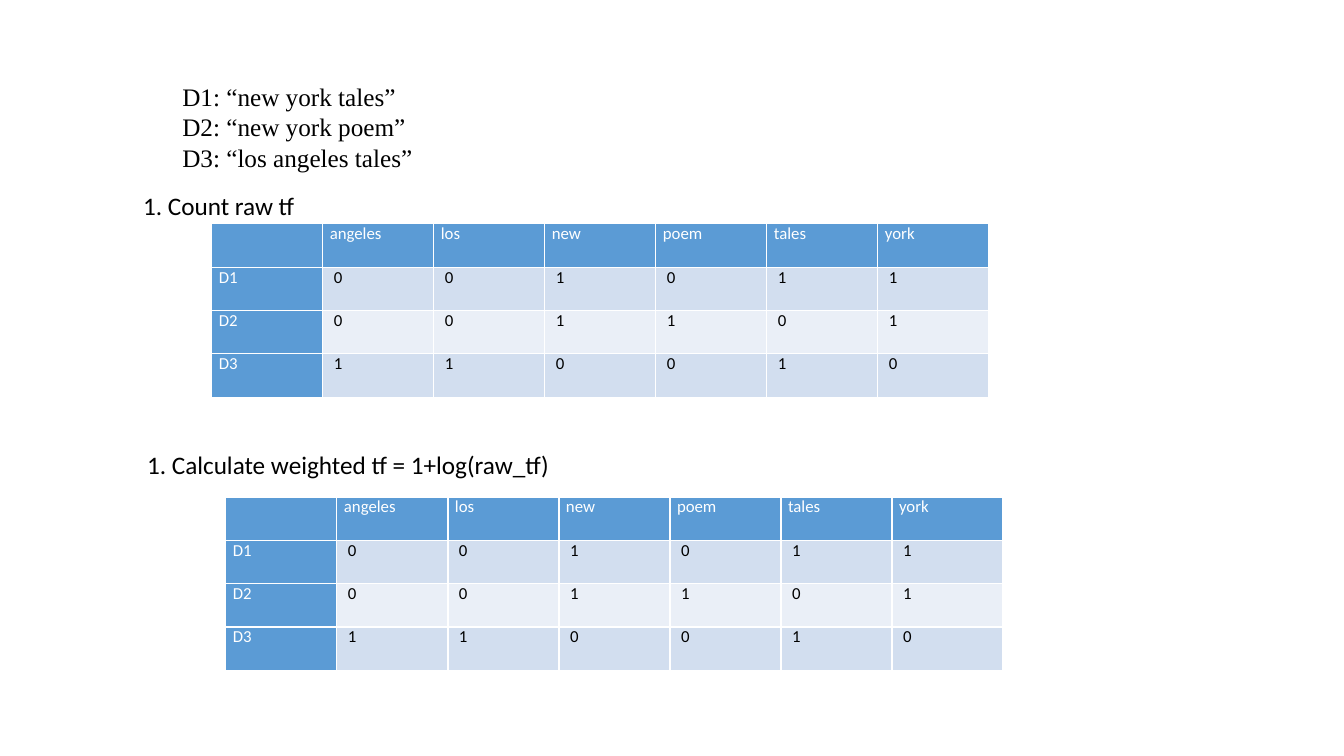
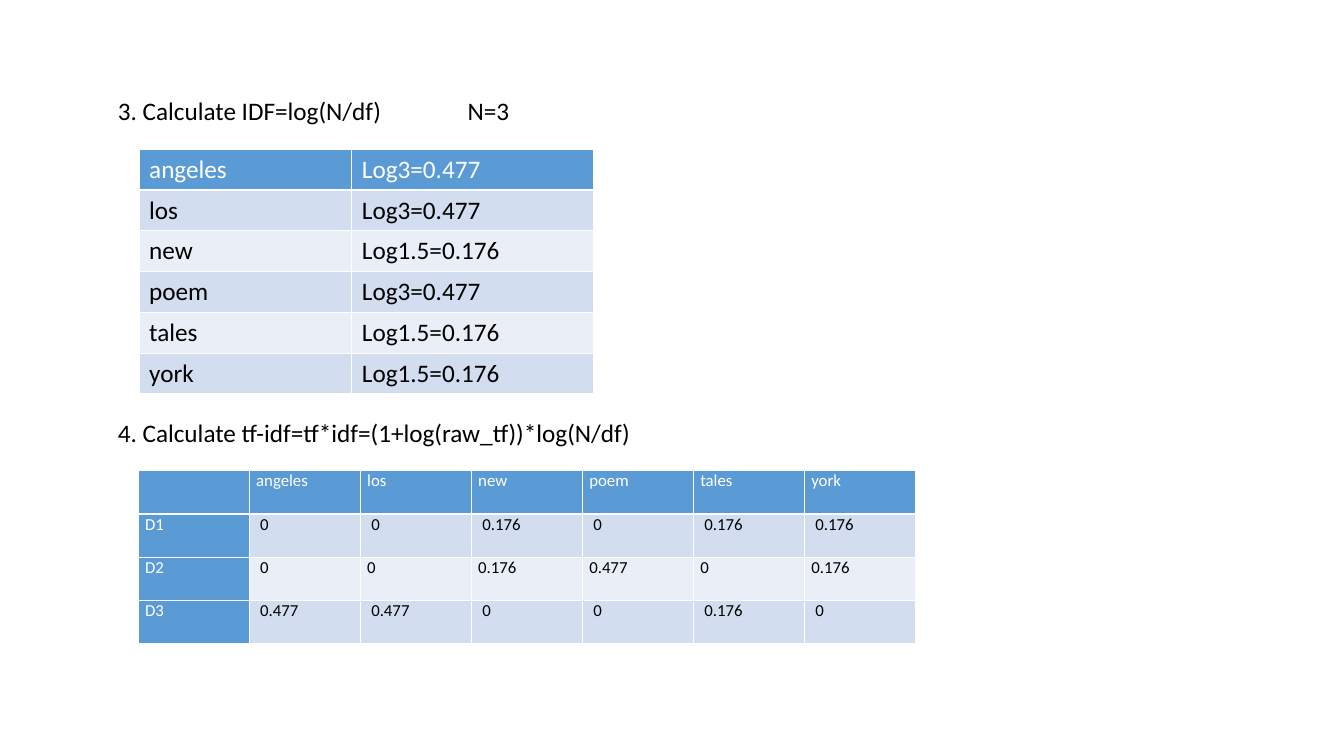
from pptx import Presentation
from pptx.dml.color import RGBColor
from pptx.enum.text import MSO_AUTO_SIZE as AutoSize
from pptx.util import Inches, Pt

BLUE, BAND_DARK, BAND_LIGHT = "5B9BD5", "D2DEEF", "EAEFF7"
BLACK, WHITE = "000000", "FFFFFF"
BODY_FONT, QUOTE_FONT = "Calibri", "Times New Roman"
TERMS = ["angeles", "los", "new", "poem", "tales", "york"]
DOCUMENTS = ["D1", "D2", "D3"]
CELL_MARGIN, VALUE_MARGIN = 0.07, 0.11


def add_span(para, text, size, color, font=BODY_FONT):
    span = para.add_run()
    span.text = text
    span.font.name = font
    span.font.size = Pt(size)
    span.font.bold = False
    span.font.color.rgb = RGBColor.from_string(color)


def add_grid(page, rows, left, top, width, height, size, has_row_names):
    grid = page.shapes.add_table(
        len(rows), len(rows[0]), Inches(left), Inches(top), Inches(width), Inches(height)
    ).table
    grid.first_col = has_row_names
    for row, values in enumerate(rows):
        for column, value in enumerate(values):
            cell = grid.cell(row, column)
            is_head = row == 0 or (has_row_names and column == 0)
            band = BAND_DARK if row % 2 else BAND_LIGHT
            cell.fill.solid()
            cell.fill.fore_color.rgb = RGBColor.from_string(BLUE if is_head else band)
            if value:
                add_span(cell.text_frame.paragraphs[0], value, size, WHITE if is_head else BLACK)
            if value and has_row_names:
                cell.margin_left = Inches(CELL_MARGIN if is_head else VALUE_MARGIN)
                cell.margin_right = Inches(CELL_MARGIN)
                cell.margin_top = cell.margin_bottom = 0
    return grid


deck = Presentation()
deck.slide_width, deck.slide_height = Inches(13.33), Inches(7.5)
blank = deck.slide_layouts[6]
counts_page = deck.slides.add_slide(blank)
weights_page = deck.slides.add_slide(blank)

quotes = ["D1: “new york tales”", "D2: “new york poem”", "D3: “los angeles tales”"]
texts = [
    (counts_page, quotes, 1.71, 0.76, 6.67, 1.01, QUOTE_FONT),
    (counts_page, ["1. Count raw tf"], 1.32, 1.84, 5.38, 0.4, BODY_FONT),
    (counts_page, ["1. Calculate weighted tf = 1+log(raw_tf)"], 1.36, 4.41, 5.38, 0.4, BODY_FONT),
    (weights_page, ["3. Calculate IDF=log(N/df)"], 1.07, 0.9, 4.15, 0.4, BODY_FONT),
    (weights_page, ["N=3"], 4.54, 0.9, 1.93, 0.4, BODY_FONT),
    (weights_page, ["4. Calculate tf-idf=tf*idf=(1+log(raw_tf))*log(N/df)"], 1.07, 4.09, 6.44, 0.4, BODY_FONT),
]
for page, lines, left, top, width, height, font in texts:
    box = page.shapes.add_textbox(Inches(left), Inches(top), Inches(width), Inches(height))
    frame = box.text_frame
    frame.word_wrap = True
    frame.auto_size = AutoSize.SHAPE_TO_FIT_TEXT
    for index, line in enumerate(lines):
        para = frame.add_paragraph() if index else frame.paragraphs[0]
        add_span(para, line, 18, BLACK, font)

tf_values = ["0 0 1 0 1 1", "0 0 1 1 0 1", "1 1 0 0 1 0"]
tf_idf_values = [
    "0 0 0.176 0 0.176 0.176",
    "0 0 0.176 0.477 0 0.176",
    "0.477 0.477 0 0 0.176 0",
]
matrices = [
    (counts_page, tf_values, 2.1, 2.22),
    (counts_page, tf_values, 2.24, 4.93),
    (weights_page, tf_idf_values, 1.37, 4.67),
]
for page, values, left, top in matrices:
    rows = [[""] + TERMS]
    rows += [[name] + line.split() for name, line in zip(DOCUMENTS, values)]
    matrix = add_grid(page, rows, left, top, 7.71, 1.72, 12, True)

for column in range(2, len(TERMS) + 1):
    matrix.cell(2, column).margin_left = Inches(CELL_MARGIN)

idf_values = ["Log3=0.477", "Log3=0.477", "Log1.5=0.176", "Log3=0.477", "Log1.5=0.176", "Log1.5=0.176"]
idf_grid = add_grid(weights_page, list(zip(TERMS, idf_values)), 1.38, 1.48, 4.51, 2.43, 18, False)
for column, width in zip(idf_grid.columns, [2.11, 2.4]):
    column.width = Inches(width)

deck.save("out.pptx")
